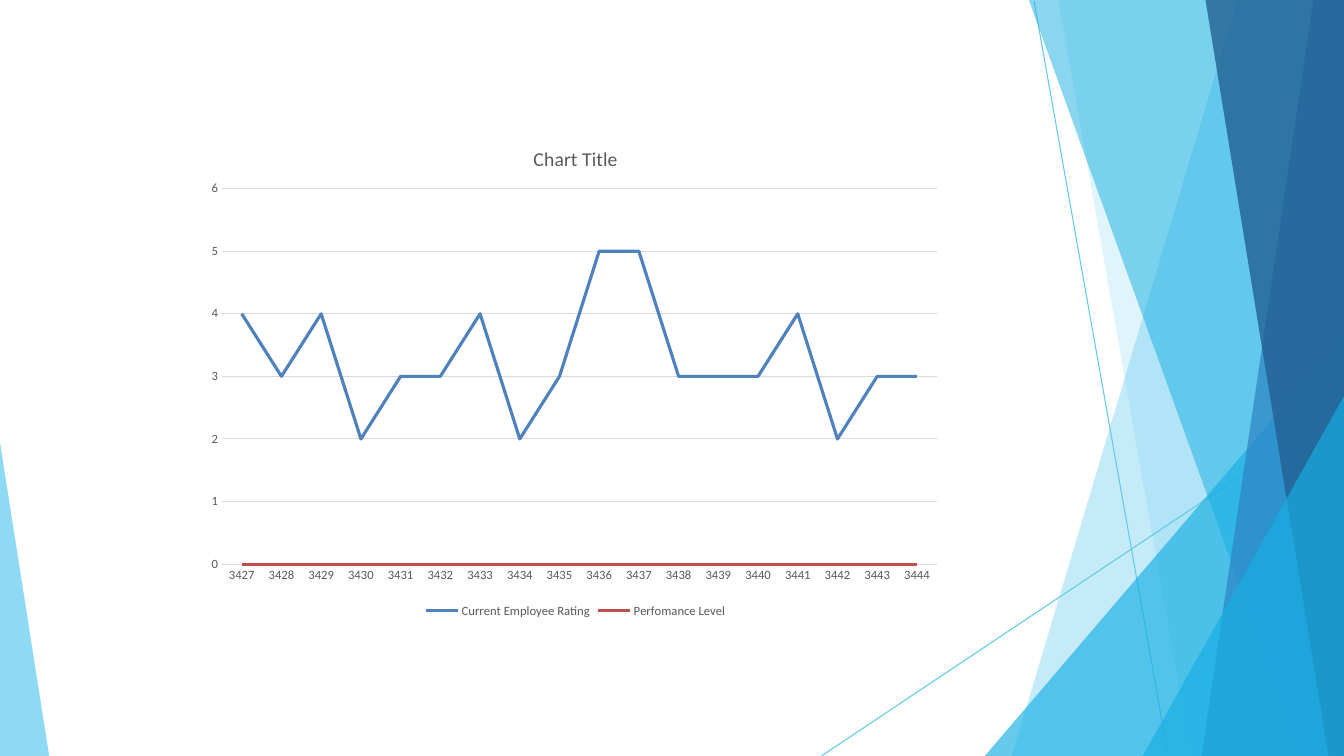
import pptx
import pptx.chart.data
import pptx.dml.color
import pptx.enum.chart
import pptx.enum.shapes
import pptx.oxml
import pptx.oxml.ns
import pptx.util
import lxml.etree as etree

Cm = pptx.util.Cm
Pt = pptx.util.Pt
WIDE, HIGH = 33.87, 19.05
COLORS = {
    "sky": "5FCAEE",
    "cyan": "17AFE3",
    "blue": "2D83C3",
    "navy": "226192",
    "rating": "4F81BD",
    "level": "C0504D",
    "text": "595959",
    "grid": "D9D9D9",
}
RAYS = [
    ((26.06, 0.03), (29.44, HIGH)),
    ((WIDE, 10.26), (20.7, HIGH)),
]
PANELS = [
    ("sky", 36, [(WIDE, 0), (31.19, 0), (25.5, HIGH), (WIDE, HIGH)]),
    ("sky", 20, [(WIDE, 0), (26.67, 0), (30.02, HIGH), (WIDE, HIGH)]),
    ("cyan", 66, [(WIDE, 8.46), (24.82, HIGH), (WIDE, HIGH)]),
    ("cyan", 50, [(WIDE, 0), (25.93, 0), (32.79, HIGH), (WIDE, HIGH)]),
    ("blue", 70, [(WIDE, 0), (33.1, 0), (30.28, HIGH), (WIDE, HIGH)]),
    ("navy", 80, [(WIDE, 0), (30.38, 0), (33.48, HIGH), (WIDE, HIGH)]),
    ("cyan", 66, [(WIDE, 9.98), (28.8, HIGH), (WIDE, HIGH)]),
    ("sky", 70, [(0, 11.15), (0, HIGH), (1.24, HIGH)]),
]
RATINGS = [4, 3, 4, 2, 3, 3, 4, 2, 3, 5, 5, 3, 3, 3, 4, 2, 3, 3]
SERIES = [
    ("Current Employee Rating", RATINGS, "rating"),
    ("Perfomance Level", [0] * len(RATINGS), "level"),
]
PLOT = {"x": 0.037, "y": 0.126, "w": 0.936, "h": 0.757}


class Deck:
    face = "Calibri"

    def __init__(self):
        self.show = pptx.Presentation()
        self.show.slide_width = Cm(WIDE)
        self.show.slide_height = Cm(HIGH)
        self.slide = self.show.slides.add_slide(self.show.slide_layouts[6])

    def color(self, name):
        return pptx.dml.color.RGBColor.from_string(COLORS[name])

    def font(self, font, size):
        font.name = self.face
        font.size = Pt(size)
        font.bold = False
        font.color.rgb = self.color("text")

    def line(self, line, name, width):
        line.color.rgb = self.color(name)
        line.width = Pt(width)

    def ray(self, start, end):
        kind = pptx.enum.shapes.MSO_CONNECTOR.STRAIGHT
        ends = [Cm(value) for value in start + end]
        ray = self.slide.shapes.add_connector(kind, *ends)
        self.line(ray.line, "sky", 0.75)
        etree.SubElement(ray.element.spPr, pptx.oxml.ns.qn("a:effectLst"))

    def panel(self, name, alpha, points):
        first, *rest = [(Cm(x), Cm(y)) for x, y in points]
        build = self.slide.shapes.build_freeform(*first)
        build.add_line_segments(rest, close=True)
        panel = build.convert_to_shape()
        panel.shadow.inherit = False
        panel.line.fill.background()
        panel.fill.solid()
        panel.fill.fore_color.rgb = self.color(name)
        tint = panel.element.spPr.find(".//" + pptx.oxml.ns.qn("a:srgbClr"))
        etree.SubElement(tint, pptx.oxml.ns.qn("a:alpha"), val=str(alpha * 1000))

    def place(self, chart, plot):
        qn = pptx.oxml.ns.qn
        area = chart.element.find(".//" + qn("c:plotArea"))
        for old in area.findall(qn("c:layout")):
            area.remove(old)
        layout = etree.Element(qn("c:layout"))
        manual = etree.SubElement(layout, qn("c:manualLayout"))
        etree.SubElement(manual, qn("c:layoutTarget"), val="inner")
        for key in "xy":
            etree.SubElement(manual, qn(f"c:{key}Mode"), val="edge")
        for key, value in plot.items():
            etree.SubElement(manual, qn(f"c:{key}"), val=str(value))
        area.insert(0, layout)

    def axis(self, axis):
        none = pptx.enum.chart.XL_TICK_MARK.NONE
        axis.major_tick_mark = none
        axis.minor_tick_mark = none
        self.font(axis.tick_labels.font, 9)

    def chart(self, box, title, cats, series, plot):
        data = pptx.chart.data.CategoryChartData()
        data.categories = cats
        for name, values, tint in series:
            data.add_series(name, values)
        kind = pptx.enum.chart.XL_CHART_TYPE.LINE
        spot = [Cm(value) for value in box]
        chart = self.slide.shapes.add_chart(kind, *spot, data).chart
        self.font(chart.font, 10)
        chart.has_title = True
        run = chart.chart_title.text_frame.paragraphs[0].add_run()
        run.text = title
        self.font(run.font, 14)
        chart.chart_title.include_in_layout = False
        chart.has_legend = True
        chart.legend.position = pptx.enum.chart.XL_LEGEND_POSITION.BOTTOM
        chart.legend.include_in_layout = False
        self.font(chart.legend.font, 9)
        self.axis(chart.category_axis)
        self.line(chart.category_axis.format.line, "grid", 0.75)
        scale = chart.value_axis
        self.axis(scale)
        scale.minimum_scale, scale.maximum_scale, scale.major_unit = 0, 6, 1
        scale.format.line.fill.background()
        scale.has_major_gridlines = True
        self.line(scale.major_gridlines.format.line, "grid", 0.75)
        chart.plots[0].vary_by_categories = False
        for item, (name, values, tint) in zip(chart.plots[0].series, series):
            item.smooth = False
            self.line(item.format.line, tint, 2.25)
        self.place(chart, plot)


def main():
    deck = Deck()
    for start, end in RAYS:
        deck.ray(start, end)
    for name, alpha, points in PANELS:
        deck.panel(name, alpha, points)
    cats = [str(3427 + step) for step in range(len(RATINGS))]
    deck.chart((4.88, 3.18, 19.25, 12.5), "Chart Title", cats, SERIES, PLOT)
    deck.show.save("out.pptx")


if __name__ == "__main__":
    main()
